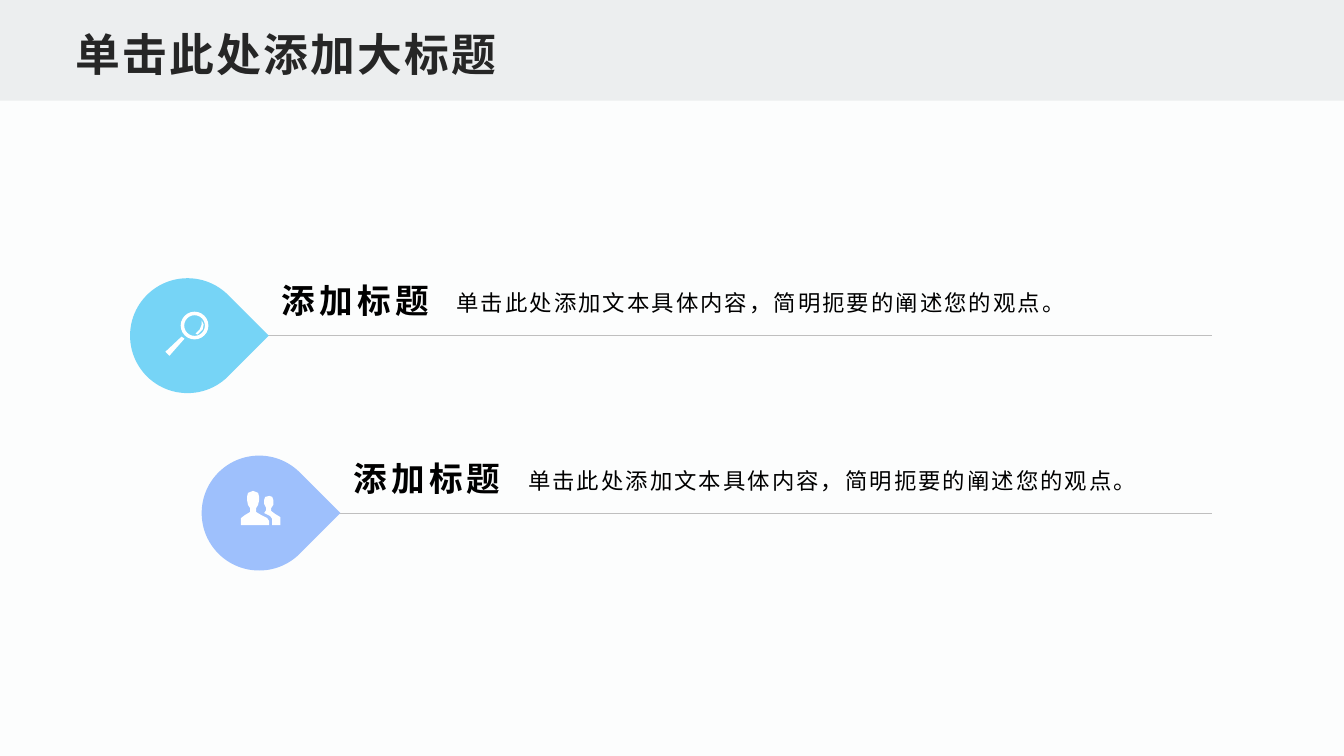
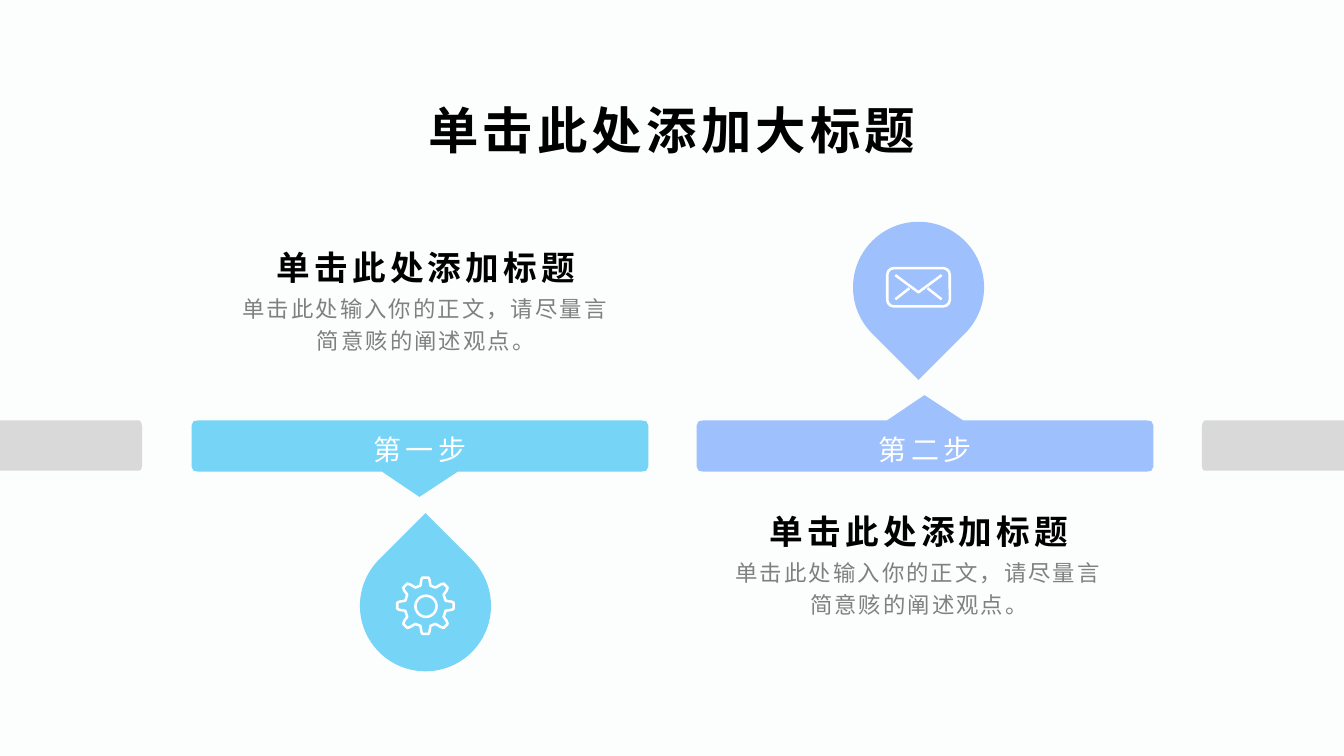
from math import cos, radians, sin

from lxml.etree import SubElement
from pptx import Presentation
from pptx.dml.color import RGBColor
from pptx.enum.lang import MSO_LANGUAGE_ID as Language
from pptx.enum.shapes import MSO_CONNECTOR as Connector, MSO_SHAPE as Shape
from pptx.enum.text import MSO_ANCHOR as Anchor, PP_ALIGN as Align
from pptx.oxml.ns import qn
from pptx.util import Pt

PX = 9144  # one hundredth of an inch
WIDTH, HEIGHT = 1333, 750
FONT = "Arial"
COLORS = {
    "page": "FCFDFD", "band": "ECEEEF", "title": "262626", "text": "000000",
    "muted": "808080", "rule": "BFBFBF", "cap": "D9D9D9", "white": "FFFFFF",
    "sky": "76D4F6", "periwinkle": "9EC0FC",
}
ICON_LINE = 1.8
BAR_TOP, BAR_WIDTH, BAR_HEIGHT = 417, 453, 51
TITLE = "单击此处添加大标题"


def rgb(name):
    return RGBColor.from_string(COLORS[name])


def emu(*lengths):
    return [round(length * PX) for length in lengths]


def paint(shape, fill=None, line=None, weight=ICON_LINE):
    shape.shadow.inherit = False
    if fill:
        shape.fill.solid()
        shape.fill.fore_color.rgb = rgb(fill)
    else:
        shape.fill.background()
    if line:
        shape.line.color.rgb = rgb(line)
        shape.line.width = Pt(weight)
    else:
        shape.line.fill.background()
    return shape


def add_preset(page, kind, left, top, width, height, **look):
    box = emu(left, top, width, height)
    return paint(page.shapes.add_shape(kind, *box), **look)


def add_outline(page, contours, closed=True, **look):
    """Draw several contours, each a list of points, as one freeform."""
    first, *others = contours
    builder = page.shapes.build_freeform(*first[0], scale=PX)
    builder.add_line_segments(first[1:], close=closed)
    for contour in others:
        builder.move_to(*contour[0])
        builder.add_line_segments(contour[1:], close=closed)
    return paint(builder.convert_to_shape(), **look)


def add_rule(page, left, right, y):
    rule = page.shapes.add_connector(Connector.STRAIGHT, *emu(left, y, right, y))
    rule.line.color.rgb = rgb("rule")
    rule.line.width = Pt(0.25)
    SubElement(rule._element.spPr, qn("a:effectLst"))


def add_text(page, text, left, top, width, height, size, color="text", bold=False,
             spacing=3, align=Align.CENTER, anchor=Anchor.MIDDLE,
             insets=(10, 5, 10, 5), leading=None, after=0):
    frame = page.shapes.add_textbox(*emu(left, top, width, height)).text_frame
    frame.word_wrap = True
    frame.vertical_anchor = anchor
    (frame.margin_left, frame.margin_top,
     frame.margin_right, frame.margin_bottom) = emu(*insets)
    para = frame.paragraphs[0]
    para.alignment = align
    para.line_spacing = leading
    para.space_after = Pt(after)
    span = para.add_run()
    span.text = text
    span.font.name = FONT
    span.font.size = Pt(size)
    span.font.bold = bold
    span.font.color.rgb = rgb(color)
    span.font.language_id = Language.SIMPLIFIED_CHINESE
    properties = span.font._element
    properties.set("spc", str(round(spacing * 100)))
    SubElement(properties, qn("a:ea"), typeface=FONT)


def add_drop(page, x, y, size, rotation, color):
    """Add a teardrop around a centre."""
    drop = add_preset(page, Shape.TEAR, x - size / 2, y - size / 2, size, size,
                      fill=color)
    drop.rotation = rotation


def add_magnifier(page, x, y):
    add_preset(page, Shape.OVAL, x - 5, y - 22, 24, 24, line="white", weight=2.5)
    handle = [(-6, 1), (-3, 3), (-18, 20), (-22, 16)]
    glint = [(14, -15), (16, -11), (15, -6), (10, -1), (8, -2), (12, -6), (14, -11)]
    add_outline(page, [[(x + dx, y + dy) for dx, dy in part]
                       for part in (handle, glint)], fill="white")


def add_people(page, x, y):
    front = [(-18, 12), (-18, 5), (-14, 2), (-9, -1), (-9, -5), (-11, -8),
             (-12, -13), (-12, -16), (-11, -20), (-6, -22), (-1, -20), (0, -16),
             (0, -13), (-1, -8), (-3, -5), (-3, -1), (2, 2), (8, 5), (10, 8),
             (10, 12)]
    back = [(21, 12), (21, 4), (16, 1), (12, -2), (12, -5), (14, -8), (14, -13),
            (13, -16), (10, -17), (6, -16), (5, -13), (5, -9), (7, -5), (7, -3),
            (5, 0), (11, 3), (13, 6), (13, 12)]
    add_outline(page, [[(x + dx, y + dy) for dx, dy in person]
                       for person in (front, back)], fill="white")


def add_gear(page, x, y):
    tooth = [(21, -15), (26, -9), (28, -6), (28, 6), (26, 9), (21, 15)]
    rim = [(radius, radians(turn + angle))
           for turn in range(0, 360, 45) for radius, angle in tooth]
    add_outline(page, [[(x + r * cos(a), y + r * sin(a)) for r, a in rim]],
                line="white")
    add_preset(page, Shape.OVAL, x - 10, y - 10, 21, 21, line="white")


def add_envelope(page, x, y):
    cover = add_preset(page, Shape.ROUNDED_RECTANGLE, x - 31, y - 19, 62, 38,
                       line="white")
    cover.adjustments[0] = 0.17
    folds = [[(-23, -12), (0, 5), (23, -12)],
             [(-23, 12), (-9, 1)], [(23, 12), (9, 1)]]
    add_outline(page, [[(x + dx, y + dy) for dx, dy in fold] for fold in folds],
                closed=False, line="white")


def add_list_row(page, left, axis, color, add_icon):
    add_rule(page, left + 2, 1202, axis)
    add_drop(page, left + 57, axis, 114, 45, color)
    add_icon(page, left + 57, axis)
    add_text(page, "单击此处添加文本具体内容，简明扼要的阐述您的观点。",
             left + 314, axis - 65, 690, 60, 16, spacing=1.5, align=Align.LEFT,
             leading=1.2, after=8)
    add_text(page, "添加标题", left + 138, axis - 65, 171, 60, 24, bold=True)


def add_step_bar(page, left, color, points_up):
    half = [(226, -25), (189, 0), (7, 0), (2, 1), (0, 5), (0, 46), (2, 50), (7, 51)]
    mirrored = [(BAR_WIDTH - dx, dy) for dx, dy in reversed(half[1:])]
    add_outline(page, [[(left + dx, BAR_TOP + (dy if points_up else BAR_HEIGHT - dy))
                        for dx, dy in half + mirrored]], fill=color)


def add_step(page, label, bar_left, center, drop_y, text_top, color, add_icon,
             points_up):
    add_drop(page, center, drop_y, 130, 135 if points_up else 315, color)
    add_step_bar(page, bar_left, color, points_up)
    add_text(page, label, bar_left + 143, BAR_TOP, 167, 48, 20, "white",
             anchor=Anchor.TOP, leading=1.2)
    add_icon(page, center, drop_y)
    left = center - 196
    add_text(page, "单击此处输入你的正文，请尽量言简意赅的阐述观点。",
             left, text_top + 56, 393, 104, 16, "muted", spacing=1.5,
             anchor=Anchor.TOP, insets=(10, 0, 10, 5), leading=1.2)
    add_text(page, "单击此处添加标题", left, text_top, 393, 54, 24, bold=True,
             anchor=Anchor.BOTTOM, insets=(10, 5, 10, 0), leading=1.2)


def add_end_caps(page):
    cap = [(0, 417), (138, 417), (140, 419), (141, 423),
           (141, 462), (140, 466), (138, 467), (0, 467)]
    for contour in (cap, [(WIDTH - x, y) for x, y in cap]):
        add_outline(page, [contour], fill="cap")


def build_list_page(page):
    add_preset(page, Shape.RECTANGLE, 0, 0, WIDTH, 100, fill="band")
    add_text(page, TITLE, 67, 17, 1200, 67, 32, "title", bold=True, spacing=1.5,
             align=Align.LEFT, anchor=Anchor.BOTTOM, insets=(8, 4, 8, 4))
    rows = [("sky", add_magnifier), ("periwinkle", add_people)]
    for index, (color, add_icon) in enumerate(rows):
        add_list_row(page, 129 + 71 * index, 333 + 176 * index, color, add_icon)


def build_steps_page(page):
    add_text(page, TITLE, 140, 84, 1053, 77, 36, bold=True, leading=1.2)
    add_step(page, "第一步", 190, 422, 601, 231, "sky", add_gear, False)
    add_step(page, "第二步", 691, 911, 285, 493, "periwinkle", add_envelope, True)
    add_end_caps(page)


def main():
    deck = Presentation()
    deck.slide_width, deck.slide_height = emu(WIDTH, HEIGHT)
    backdrop = deck.slide_master.background.fill
    backdrop.solid()
    backdrop.fore_color.rgb = rgb("page")
    for build in (build_list_page, build_steps_page):
        build(deck.slides.add_slide(deck.slide_layouts[6]))
    deck.save("out.pptx")


if __name__ == "__main__":
    main()
